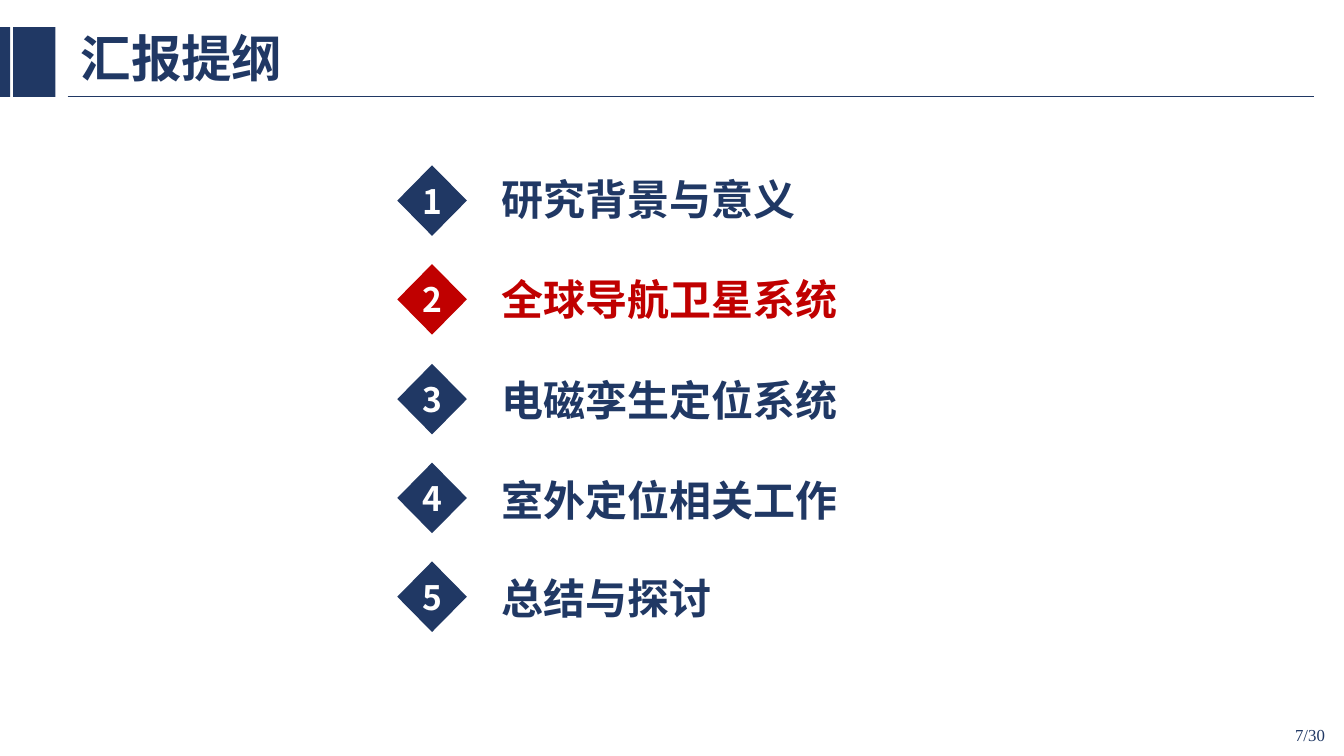
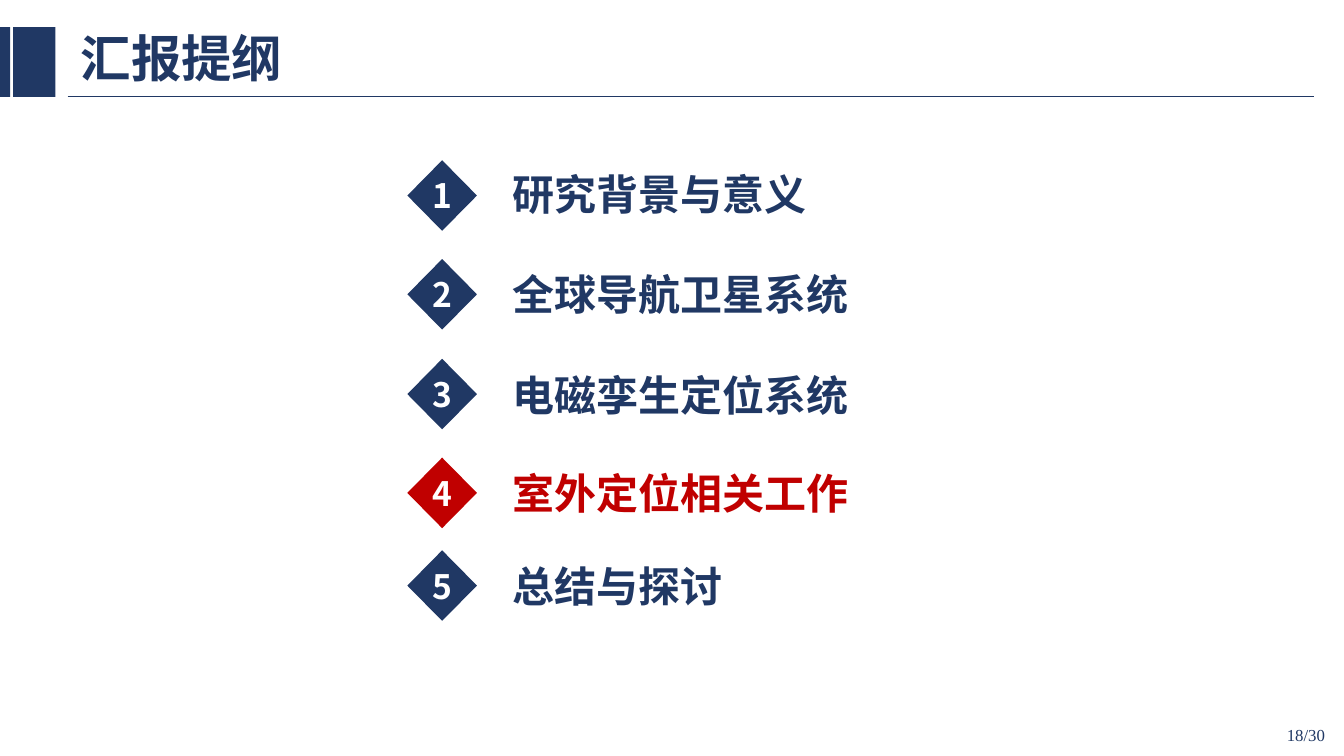
from lxml import etree
from pptx import Presentation
from pptx.dml.color import RGBColor
from pptx.enum import shapes as kinds, text as txt
from pptx.oxml import ns
from pptx.util import Inches, Pt

NAVY = RGBColor(0x20, 0x38, 0x64)
RED = RGBColor(0xC0, 0x00, 0x00)
WHITE = RGBColor(0xFF, 0xFF, 0xFF)
HEADING_FONT = "Noto Sans CJK SC"
PAGE_FONT = "Times New Roman"

TITLE = "汇报提纲"
TOPICS = ["研究背景与意义", "全球导航卫星系统", "电磁孪生定位系统", "室外定位相关工作", "总结与探讨"]
TOTAL_PAGES = 30
AGENDAS = [
    {"page": 7, "current": 2, "left": 3.94,
     "marker_tops": [1.64, 2.62, 3.61, 4.59, 5.57],
     "topic_tops": [1.67, 2.66, 3.67, 4.66, 5.63]},
    {"page": 18, "current": 4, "left": 4.04,
     "marker_tops": [1.59, 2.57, 3.56, 4.54, 5.46],
     "topic_tops": [1.62, 2.61, 3.62, 4.59, 5.51]},
]
BANDS = [(0, 0.1), (0.13, 0.42)]
BAND_TOP, BAND_HEIGHT = 0.27, 0.69
MARKER_WIDTH, MARKER_HEIGHT = 0.69, 0.7
TOPIC_OFFSET = 0.94


def write(paragraph, words, size, color, font=HEADING_FONT, bold=True):
    run = paragraph.add_run()
    run.text = words
    run.font.size = Pt(size)
    run.font.bold = bold
    run.font.color.rgb = color
    run.font.name = font
    east_asian = etree.SubElement(run.font._element, ns.qn("a:ea"))
    east_asian.set("typeface", font)


def add_solid(slide, kind, left, top, width, height, color):
    solid = slide.shapes.add_shape(kind, Inches(left), Inches(top), Inches(width), Inches(height))
    solid.shadow.inherit = False
    solid.fill.solid()
    solid.fill.fore_color.rgb = color
    solid.line.fill.background()
    return solid


def add_label(slide, left, top, width, height):
    label = slide.shapes.add_textbox(Inches(left), Inches(top), Inches(width), Inches(height))
    label.text_frame.word_wrap = True
    return label.text_frame


def style_layout(layout):
    for holder in list(layout.placeholders):
        if holder.placeholder_format.type != kinds.PP_PLACEHOLDER.TITLE:
            holder.element.getparent().remove(holder.element)
            continue
        holder.left, holder.top = Inches(0.7), Inches(0.21)
        holder.width, holder.height = Inches(2.69), Inches(0.8)
        holder.text_frame.vertical_anchor = txt.MSO_ANCHOR.MIDDLE
        holder.text_frame.auto_size = txt.MSO_AUTO_SIZE.NONE


def move_header_to_layout(slide):
    rule = slide.shapes.add_connector(
        kinds.MSO_CONNECTOR.STRAIGHT, Inches(0.67), Inches(0.96), Inches(13.03), Inches(0.96))
    rule.line.color.rgb = NAVY
    rule.line.width = Pt(1)
    etree.SubElement(rule.element.spPr, ns.qn("a:effectLst"))
    bands = [add_solid(slide, kinds.MSO_SHAPE.RECTANGLE, left, BAND_TOP, width, BAND_HEIGHT, NAVY)
             for left, width in BANDS]
    for part in [rule, *bands]:
        slide.slide_layout.shapes.element.append(part.element)


def add_topic(slide, number, topic, left, marker_top, topic_top, color):
    marker = add_solid(slide, kinds.MSO_SHAPE.DIAMOND, left, marker_top,
                       MARKER_WIDTH, MARKER_HEIGHT, color)
    frame = marker.text_frame
    frame.margin_left = frame.margin_right = frame.margin_top = frame.margin_bottom = 0
    frame.word_wrap = False
    frame.vertical_anchor = txt.MSO_ANCHOR.MIDDLE
    frame.paragraphs[0].alignment = txt.PP_ALIGN.CENTER
    write(frame.paragraphs[0], str(number), 24, WHITE)
    label = add_label(slide, left + TOPIC_OFFSET, topic_top, 6.35, 0.61)
    write(label.paragraphs[0], topic, 30, color)


def fill_agenda(slide, agenda):
    heading = slide.shapes.title.text_frame.paragraphs[0]
    heading.alignment = txt.PP_ALIGN.LEFT
    heading.line_spacing = 0.9
    write(heading, TITLE, 36, NAVY)

    page = add_label(slide, 10.24, 7.09, 3, 0.4)
    page.vertical_anchor = txt.MSO_ANCHOR.MIDDLE
    page.paragraphs[0].alignment = txt.PP_ALIGN.RIGHT
    write(page.paragraphs[0], f"{agenda['page']}/{TOTAL_PAGES}", 12, NAVY, PAGE_FONT, False)

    rows = zip(TOPICS, agenda["marker_tops"], agenda["topic_tops"])
    for number, (topic, marker_top, topic_top) in enumerate(rows, 1):
        color = RED if number == agenda["current"] else NAVY
        add_topic(slide, number, topic, agenda["left"], marker_top, topic_top, color)


def main():
    deck = Presentation()
    deck.slide_width, deck.slide_height = Inches(13.33), Inches(7.5)
    layout = deck.slide_layouts.get_by_name("Title Only")
    style_layout(layout)
    slides = [deck.slides.add_slide(layout) for _ in AGENDAS]
    move_header_to_layout(slides[0])
    for slide, agenda in zip(slides, AGENDAS):
        fill_agenda(slide, agenda)
    deck.save("out.pptx")


if __name__ == "__main__":
    main()
